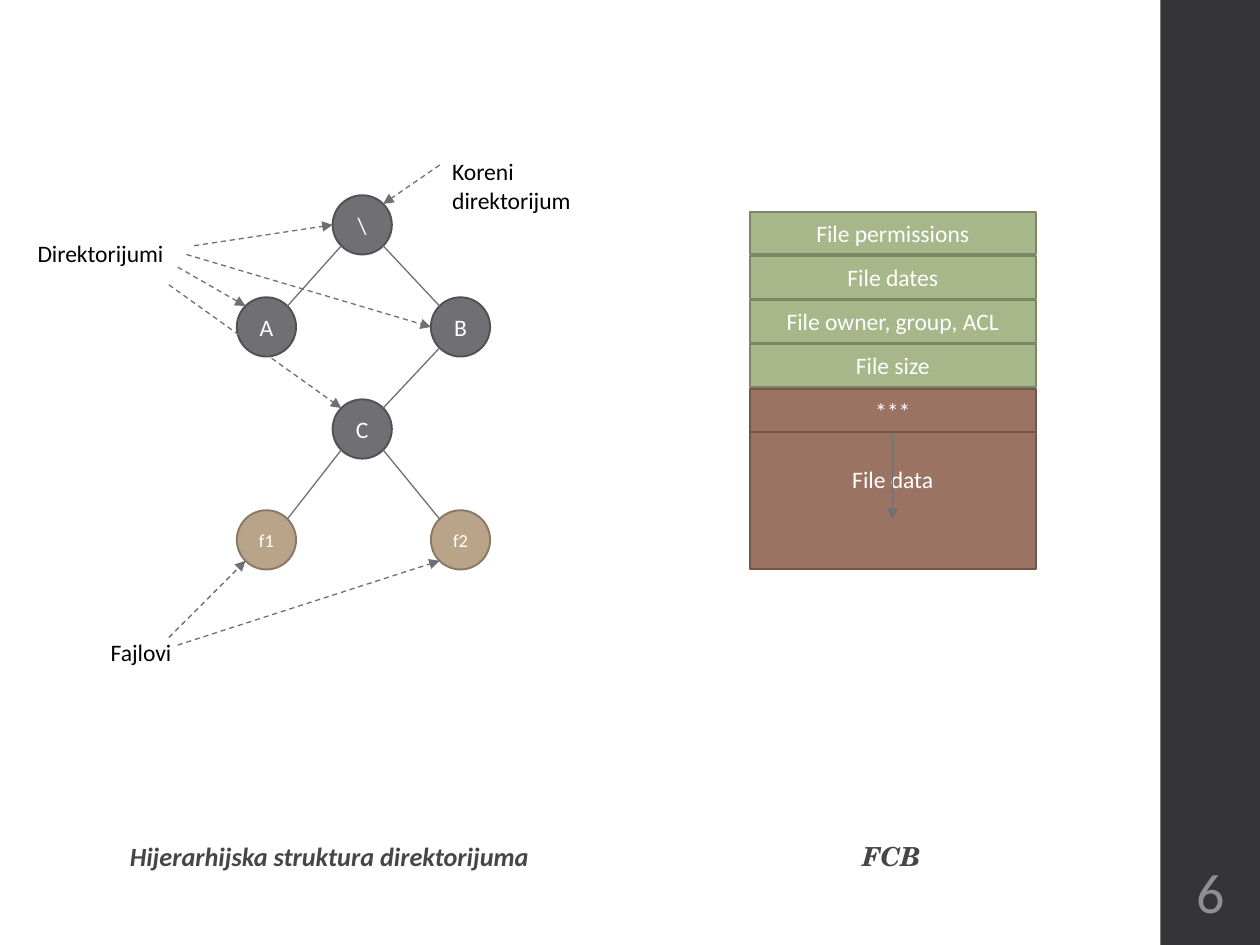
from lxml.etree import SubElement
from pptx import Presentation
from pptx.dml.color import RGBColor
from pptx.enum.dml import MSO_LINE
from pptx.enum.shapes import MSO_CONNECTOR, MSO_SHAPE
from pptx.enum.text import MSO_ANCHOR as Anchor, PP_ALIGN as Align
from pptx.oxml.ns import qn
from pptx.util import Inches, Pt

GRAY, TAN = ("6F6F74", "525256"), ("B9A489", "897965")
GREEN, BROWN = ("A7B789", "7C8765"), ("9B7362", "735549")
LINE = "6F6F74"

DIAMETER = 0.47
NODES = {  # name: left, top, (fill, outline), text size
    "\\": (2.64, 1.55, GRAY, 13.5),
    "A": (1.88, 2.36, GRAY, 13.5),
    "B": (3.42, 2.36, GRAY, 13.5),
    "C": (2.64, 3.17, GRAY, 13.5),
    "f1": (1.88, 4.05, TAN, 10.5),
    "f2": (3.42, 4.05, TAN, 10.5),
}
EDGES = [  # node, side, node, side
    ("\\", "SE", "B", "NW"),
    ("B", "SW", "C", "NE"),
    ("C", "SE", "f2", "NW"),
    ("C", "SW", "f1", "NE"),
    ("\\", "SW", "A", "NE"),
]
POINTERS = [  # start, node, side
    ((1.34, 5.06), "f1", "SW"),
    ((1.41, 5.12), "f2", "SW"),
    ((3.49, 1.31), "\\", "NE"),
    ((1.41, 2.12), "A", "NW"),
    ((1.34, 2.26), "C", "NW"),
    ((1.48, 2.02), "B", "W"),
    ((1.54, 1.95), "\\", "W"),
]
LABELS = [
    ("Fajlovi", 0.78, 5.01, 1.17, 0.33),
    ("Koreni direktorijum", 3.49, 1.2, 1.55, 0.56),
    ("Direktorijumi", 0.2, 1.85, 1.36, 0.33),
]
CAPTIONS = [
    ("Hijerarhijska struktura direktorijuma", 0.78, "Calibri"),
    ("FCB", 5.24, "TeX Gyre Schola"),
]
FCB_LEFT, FCB_TOP, FCB_WIDTH = 5.95, 1.68, 2.27
ROW_HEIGHT, ROW_PITCH = 0.34, 0.35
FCB_FIELDS = ["File permissions", "File dates", "File owner, group, ACL", "File size"]
DATA_TOP, DATA_HEIGHT = 3.09, 1.43

deck = Presentation()
deck.slide_width, deck.slide_height = Inches(10), Inches(7.5)
slide = deck.slides.add_slide(deck.slide_layouts[6])


def color(value):
    return RGBColor.from_string(value)


def write(box, text, size=13.5, font="Calibri", fill="FFFFFF", align=Align.CENTER,
          anchor=Anchor.MIDDLE, emphasis=False):
    frame = box.text_frame
    frame.word_wrap = True
    frame.vertical_anchor = anchor
    para = frame.paragraphs[0]
    para.alignment = align
    span = para.add_run()
    span.text = text
    span.font.size, span.font.name = Pt(size), font
    span.font.bold = span.font.italic = emphasis
    span.font.color.rgb = color(fill)
    return frame


def add_box(left, top, width, height):
    return slide.shapes.add_textbox(*map(Inches, (left, top, width, height)))


def add_figure(kind, left, top, width, height, colors, text="", size=13.5):
    figure = slide.shapes.add_shape(kind, *map(Inches, (left, top, width, height)))
    figure.shadow.inherit = False
    fill, outline = colors
    figure.fill.solid()
    figure.fill.fore_color.rgb = color(fill)
    if outline:
        figure.line.color.rgb = color(outline)
        figure.line.width = Pt(1.1)
    else:
        figure.line.fill.background()
    if text:
        frame = write(figure, text, size)
        if kind == MSO_SHAPE.OVAL:
            frame.margin_left = frame.margin_right = 0
    return figure


def add_line(start, end, arrow=False, dashed=False):
    line = slide.shapes.add_connector(MSO_CONNECTOR.STRAIGHT, *map(Inches, (*start, *end)))
    line.line.color.rgb = color(LINE)
    line.line.width = Pt(0.75)
    if dashed:
        line.line.dash_style = MSO_LINE.DASH
    if arrow:
        SubElement(line.line._get_or_add_ln(), qn("a:tailEnd"), type="triangle")
    SubElement(line._element.spPr, qn("a:effectLst"))
    return line


def rim(name, side):
    """Point on a node's circle in a compass direction."""
    left, top = NODES[name][:2]
    radius = DIAMETER / 2
    reach = radius * (0.5 ** 0.5 if len(side) == 2 else 1)
    across = ("E" in side) - ("W" in side)
    down = ("S" in side) - ("N" in side)
    return left + radius + across * reach, top + radius + down * reach


add_figure(MSO_SHAPE.RECTANGLE, 9.21, 0, 0.79, 7.5, ("353537", None))

for text, left, font in CAPTIONS:
    frame = write(add_box(left, 6.37, 3.67, 0.6), text, 15, font, "46464A",
                  anchor=Anchor.BOTTOM, emphasis=True)
    frame.paragraphs[0].line_spacing = 0.95
    frame.paragraphs[0].space_after = Pt(2)

frame = write(add_box(9.23, 6.75, 0.75, 0.65), "6", 32, fill="8E8E94")
frame.margin_left = frame.margin_right = Inches(0.03)

for name, (left, top, colors, size) in NODES.items():
    add_figure(MSO_SHAPE.OVAL, left, top, DIAMETER, DIAMETER, colors, name, size)
for parent, parent_side, child, child_side in EDGES:
    add_line(rim(parent, parent_side), rim(child, child_side))
for start, name, side in POINTERS:
    add_line(start, rim(name, side), arrow=True, dashed=True)
for text, *place in LABELS:
    write(add_box(*place), text, fill="000000", align=Align.LEFT, anchor=Anchor.TOP)

for row, text in enumerate(FCB_FIELDS):
    add_figure(MSO_SHAPE.RECTANGLE, FCB_LEFT, FCB_TOP + row * ROW_PITCH,
               FCB_WIDTH, ROW_HEIGHT, GREEN, text)
add_figure(MSO_SHAPE.RECTANGLE, FCB_LEFT, DATA_TOP, FCB_WIDTH, DATA_HEIGHT, BROWN, "File data")
stars = add_figure(MSO_SHAPE.RECTANGLE, FCB_LEFT, DATA_TOP, FCB_WIDTH, ROW_HEIGHT, BROWN, "***")
middle = FCB_LEFT + FCB_WIDTH / 2
data_arrow = add_line((middle, DATA_TOP + ROW_HEIGHT), (middle, 4.12), arrow=True)
data_arrow.begin_connect(stars, 2)

deck.save("out.pptx")
